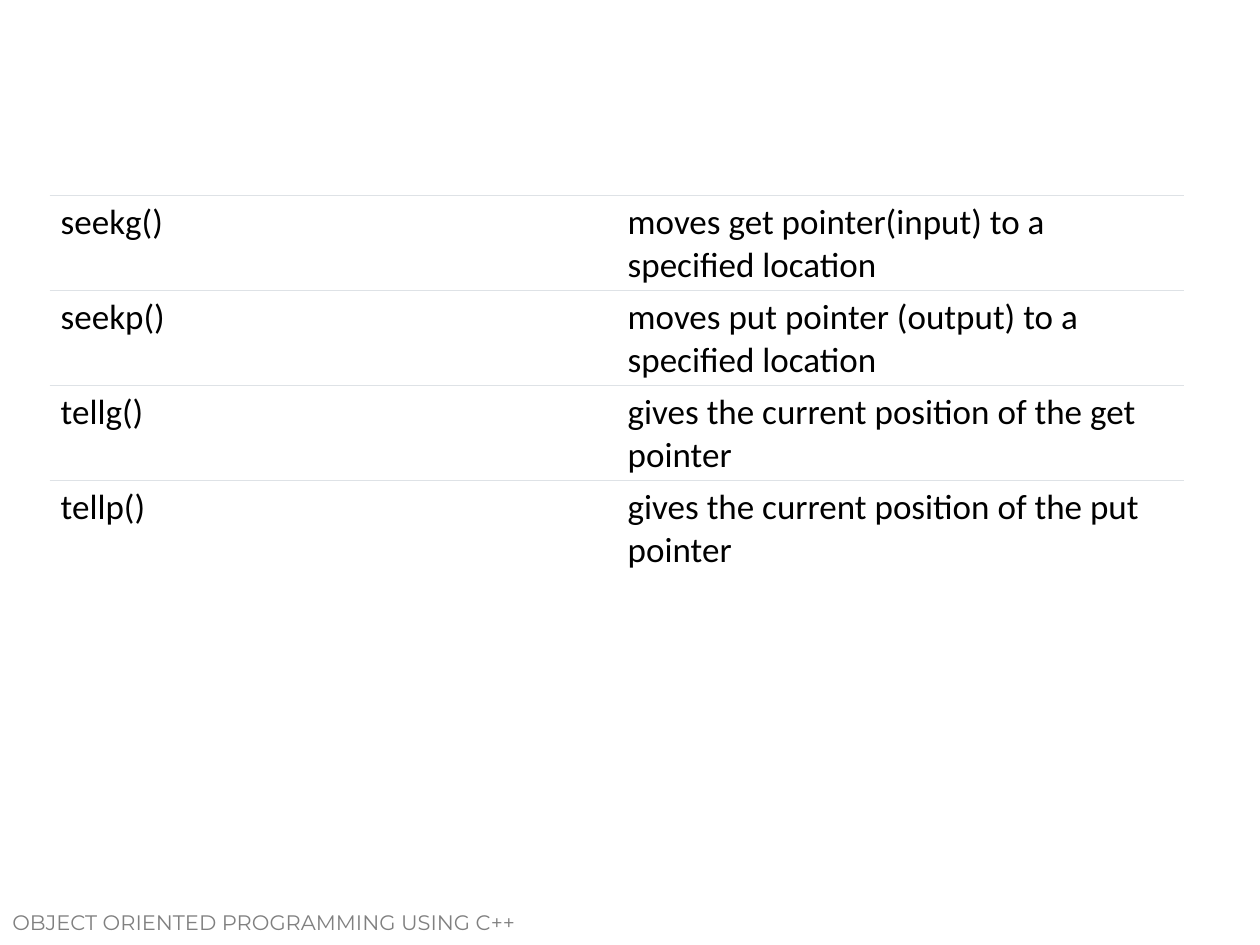
"""Build a slide listing the C++ file pointer functions."""
import lxml.etree
import pptx
import pptx.dml.color
import pptx.enum.text
import pptx.oxml.ns
import pptx.util

Pt = pptx.util.Pt
COLORS = {"paper": "FFFFFF", "ink": "000000", "rule": "DEE2E6", "footer": "808080"}
FUNCTIONS = [
    ("seekg()", "moves get pointer(input) to a specified location"),
    ("seekp()", "moves put pointer (output) to a specified location"),
    ("tellg()", "gives the current position of the get pointer"),
    ("tellp()", "gives the current position of the put pointer"),
]


def color(name):
    """Return the named colour as an RGB value."""
    return pptx.dml.color.RGBColor.from_string(COLORS[name])


def style_text(frame, font, size, ink):
    """Format every run of a text frame."""
    for para in frame.paragraphs:
        for span in para.runs:
            span.font.name = font
            span.font.size = Pt(size)
            span.font.bold = False
            span.font.color.rgb = color(ink)


def set_borders(cell, ruled_sides):
    """Rule the given sides of a cell and clear the others."""
    properties = cell._tc.get_or_add_tcPr()
    qn = pptx.oxml.ns.qn
    for side in "LRTB":
        line = lxml.etree.SubElement(properties, qn(f"a:ln{side}"), w=str(Pt(0.75)))
        if side in ruled_sides:
            fill = lxml.etree.SubElement(line, qn("a:solidFill"))
            lxml.etree.SubElement(fill, qn("a:srgbClr"), val=COLORS["rule"])
        else:
            lxml.etree.SubElement(line, qn("a:noFill"))


def add_function_table(page, left, top, width, height):
    """Place the table of functions and their meanings in the given box."""
    table = page.shapes.add_table(
        len(FUNCTIONS), 2, Pt(left), Pt(top), Pt(width), Pt(height)
    ).table
    table.first_row = table.horz_banding = False
    for column in table.columns:
        column.width = Pt(width / 2)
    for index, texts in enumerate(FUNCTIONS):
        table.rows[index].height = Pt(height / len(FUNCTIONS))
        ruled_sides = "T" if index == len(FUNCTIONS) - 1 else "TB"
        for cell, text in zip(table.rows[index].cells, texts):
            cell.margin_left = cell.margin_right = Pt(6.3)
            cell.margin_top = cell.margin_bottom = Pt(3.15)
            set_borders(cell, ruled_sides)
            cell.fill.solid()
            cell.fill.fore_color.rgb = color("paper")
            cell.text_frame.text = text
            style_text(cell.text_frame, "Calibri", 20, "ink")


def add_footer(page, left, top, width, height):
    """Place the course name in the given box."""
    box = page.shapes.add_textbox(Pt(left), Pt(top), Pt(width), Pt(height))
    frame = box.text_frame
    frame.word_wrap = True
    frame.vertical_anchor = pptx.enum.text.MSO_ANCHOR.TOP
    frame.text = "OBJECT ORIENTED PROGRAMMING USING C++"
    style_text(frame, "Montserrat", 12, "footer")


def main():
    """Build and save the deck."""
    deck = pptx.Presentation()
    deck.slide_width, deck.slide_height = Pt(720), Pt(540)
    page = deck.slides.add_slide(deck.slide_layouts[6])
    page.background.fill.solid()
    page.background.fill.fore_color.rgb = color("paper")
    add_footer(page, 0, 516, 360, 30)
    add_function_table(page, 28.4, 111.6, 648, 217.6)
    deck.save("out.pptx")


if __name__ == "__main__":
    main()
